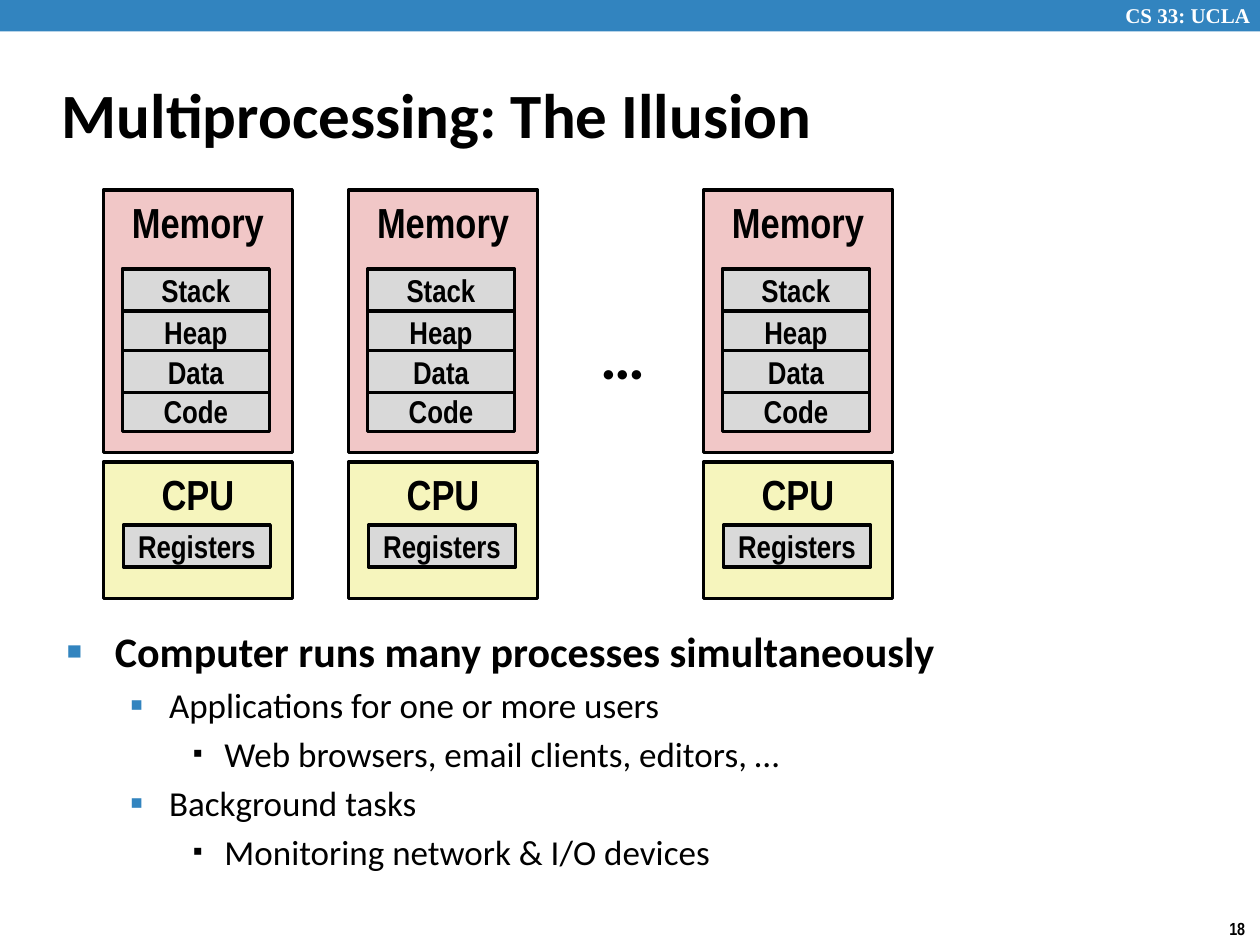
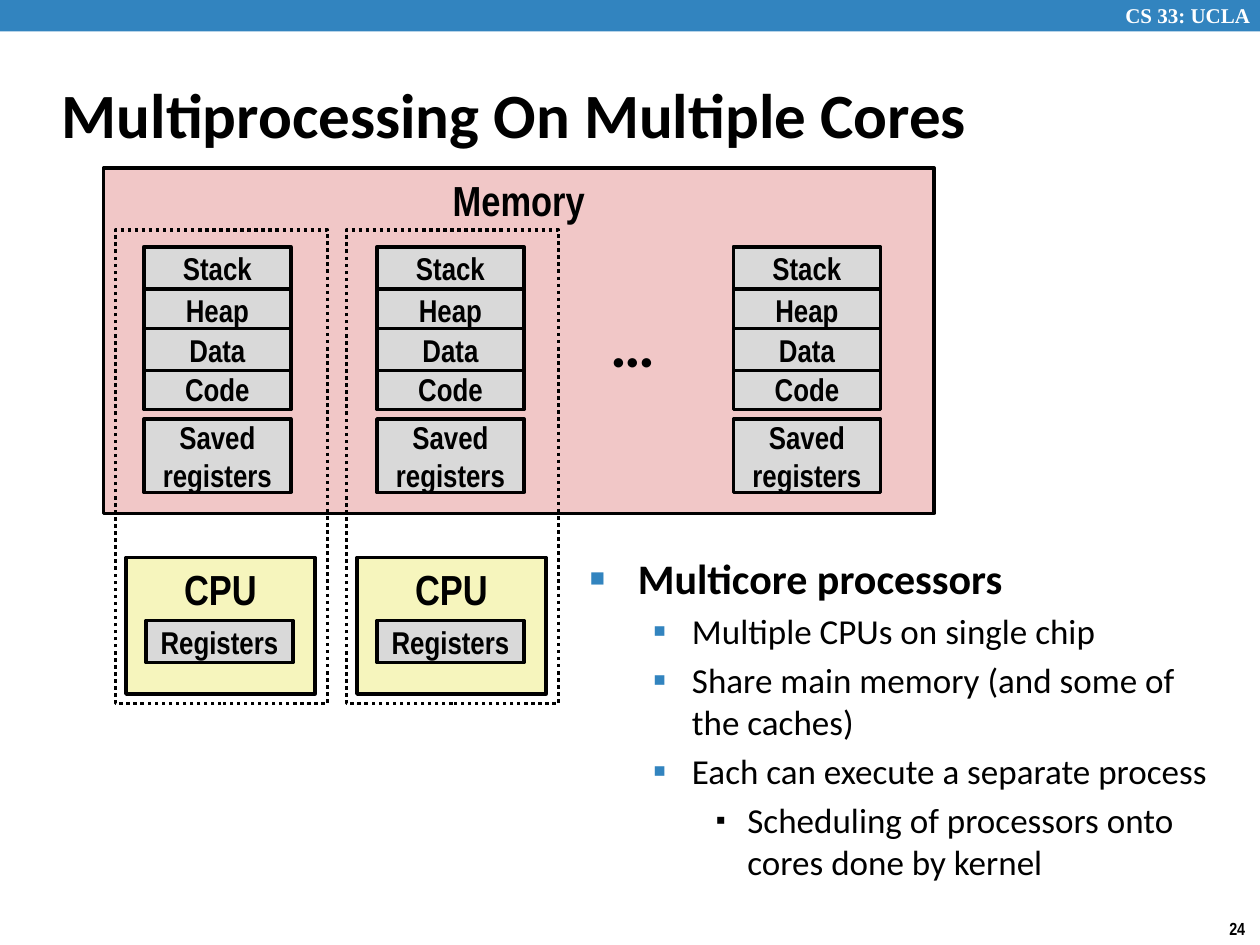
import dataclasses
import lxml.etree
import pptx
import pptx.dml.color
import pptx.enum.dml
import pptx.enum.shapes
import pptx.enum.text
import pptx.oxml.ns
import pptx.util

ALIGN = pptx.enum.text.PP_ALIGN
ANCHOR = pptx.enum.text.MSO_ANCHOR
COLUMNS, ROWS = 120, 90
SLIDE_WIDTH, SLIDE_HEIGHT = pptx.util.Inches(10), pptx.util.Inches(7.5)


@dataclasses.dataclass(frozen=True)
class Theme:
    accent: str = "3284BF"
    ink: str = "000000"
    paper: str = "FFFFFF"
    memory: str = "F1C7C7"
    cpu: str = "F6F5BD"
    segment: str = "D9D9D9"
    text_font: str = "Calibri"
    diagram_font: str = "Arial Narrow"
    course_font: str = "Times New Roman"
    title_size: int = 36
    heading_size: int = 24
    body_size: int = 20
    segment_size: int = 18
    course_size: int = 12
    number_size: int = 10
    outline: int = 2


THEME = Theme()

OUTLINE_LEVELS = (
    dict(size=THEME.heading_size, bold=True, left=0.38, hang=0.38,
         bullet="■", bullet_color=THEME.accent, bullet_share=60),
    dict(size=THEME.body_size, bold=False, left=0.81, hang=0.31,
         bullet="▪", bullet_color=THEME.accent, bullet_share=110),
    dict(size=THEME.body_size, bold=False, left=1.25, hang=0.25,
         bullet="▪", bullet_color=THEME.ink, bullet_share=80),
)

SEGMENT_ROWS = (("Stack", 0), ("Heap", 4), ("Code", 11.5), ("Data", 7.8))
SEGMENT_WIDTH, SEGMENT_HEIGHT = 14, 4
CPU_WIDTH, CPU_HEIGHT = 18, 13


def grid(column, row, width, height):
    across, down = SLIDE_WIDTH / COLUMNS, SLIDE_HEIGHT / ROWS
    return [round(v) for v in (column * across, row * down, width * across, height * down)]


def rgb(color):
    return pptx.dml.color.RGBColor.from_string(color)


def apply(target, **values):
    for name, value in values.items():
        setattr(target, name, value)


def style_font(font, name, size, color=THEME.ink, bold=True):
    apply(font, name=name, size=pptx.util.Pt(size), bold=bold)
    font.color.rgb = rgb(color)


def add_label(slide, place, words, font, size, color=THEME.ink, wrap=True, anchor=ANCHOR.TOP):
    label = slide.shapes.add_textbox(*grid(*place))
    apply(label.text_frame, word_wrap=wrap, vertical_anchor=anchor)
    paragraph = label.text_frame.paragraphs[0]
    paragraph.text = words
    style_font(paragraph.font, font, size, color)
    return label


def add_block(slide, place, fill=None, words="", size=THEME.segment_size,
              anchor=ANCHOR.MIDDLE, outlined=True):
    block = slide.shapes.add_shape(pptx.enum.shapes.MSO_SHAPE.RECTANGLE, *grid(*place))
    block.shadow.inherit = False
    if fill:
        block.fill.solid()
        block.fill.fore_color.rgb = rgb(fill)
    else:
        block.fill.background()
    if outlined:
        block.line.color.rgb = rgb(THEME.ink)
        block.line.width = pptx.util.Pt(THEME.outline)
    else:
        block.line.fill.background()
    if words:
        apply(block.text_frame, word_wrap=True, vertical_anchor=anchor)
        paragraph = block.text_frame.paragraphs[0]
        apply(paragraph, text=words, alignment=ALIGN.CENTER)
        style_font(paragraph.font, THEME.diagram_font, size)
    return block


def add_memory(slide, place):
    add_block(slide, place, THEME.memory, "Memory", THEME.heading_size, ANCHOR.TOP)


def add_segments(slide, column, row, saved=False):
    for words, offset in SEGMENT_ROWS:
        add_block(slide, (column, row + offset, SEGMENT_WIDTH, SEGMENT_HEIGHT),
                  THEME.segment, words)
    if saved:
        add_block(slide, (column, row + 16.4, SEGMENT_WIDTH, 7), THEME.segment,
                  "Saved registers")


def add_cpu(slide, column, row):
    add_block(slide, (column, row, CPU_WIDTH, CPU_HEIGHT), THEME.cpu, "CPU",
              THEME.heading_size, ANCHOR.TOP)
    add_block(slide, (column + (CPU_WIDTH - SEGMENT_WIDTH) / 2 - 0.1, row + 6,
                      SEGMENT_WIDTH, SEGMENT_HEIGHT), THEME.segment, "Registers")


def add_core_outline(slide, cpu_column, cpu_row):
    core = add_block(slide, (cpu_column - 1, cpu_row - 31.2, 20.2, 45.1))
    core.line.dash_style = pptx.enum.dml.MSO_LINE.ROUND_DOT


def add_ellipsis(slide, column, row):
    add_label(slide, (column, row, 6.7, 8.5), "…", THEME.text_font, THEME.title_size, wrap=False)


def set_indent(paragraph, left, hang):
    properties = paragraph._p.get_or_add_pPr()
    properties.set("marL", str(pptx.util.Inches(left)))
    properties.set("indent", str(-pptx.util.Inches(hang)))
    return properties


def add_bullet(properties, look):
    def child(parent, tag, **values):
        return lxml.etree.SubElement(parent, pptx.oxml.ns.qn(tag), **values)

    child(child(properties, "a:buClr"), "a:srgbClr", val=look["bullet_color"])
    child(properties, "a:buSzPct", val=str(look["bullet_share"] * 1000))
    child(properties, "a:buFont", typeface="Arial")
    child(properties, "a:buChar", char=look["bullet"])


def add_outline(slide, place, points):
    frame = slide.shapes.add_textbox(*grid(*place)).text_frame
    frame.word_wrap = True
    for index, (level, words) in enumerate(points):
        look = OUTLINE_LEVELS[level]
        paragraph = frame.add_paragraph() if index else frame.paragraphs[0]
        add_bullet(set_indent(paragraph, look["left"], look["hang"]), look)
        gap = pptx.util.Pt(0.2 * look["size"] if index else 0)
        apply(paragraph, text=words, level=level, space_before=gap)
        style_font(paragraph.font, THEME.text_font, look["size"], bold=look["bold"])


def add_page(deck, title, number):
    slide = deck.slides.add_slide(deck.slide_layouts[6])
    add_block(slide, (0, 0, COLUMNS, 3), THEME.accent, outlined=False)
    add_label(slide, (106, -0.36, 14.9, 3.6), "CS 33: UCLA", THEME.course_font,
              THEME.course_size, THEME.paper)
    add_label(slide, (115.9, 86.8, 4.1, 3.2), str(number), THEME.diagram_font,
              THEME.number_size, wrap=False)
    heading = add_label(slide, (4.7, 5.8, 111, 10), title, THEME.text_font,
                        THEME.title_size, anchor=ANCHOR.MIDDLE)
    set_indent(heading.text_frame.paragraphs[0], 0.13, 0.13)
    return slide


def build_illusion(deck):
    slide = add_page(deck, "Multiprocessing: The Illusion", 18)
    add_outline(slide, (5.2, 59, 103.7, 26), (
        (0, "Computer runs many processes simultaneously"),
        (1, "Applications for one or more users"),
        (2, "Web browsers, email clients, editors, …"),
        (1, "Background tasks"),
        (2, "Monitoring network & I/O devices"),
    ))
    for column in (9.85, 33.2, 67):
        add_cpu(slide, column, 44)
        add_memory(slide, (column, 18.1, CPU_WIDTH, 25))
        add_segments(slide, column + 1.8, 25.6)
    add_ellipsis(slide, 56, 29.6)


def build_cores(deck):
    slide = add_page(deck, "Multiprocessing On Multiple Cores", 24)
    add_outline(slide, (55, 52, 62, 35), (
        (0, "Multicore processors"),
        (1, "Multiple CPUs on single chip"),
        (1, "Share main memory (and some of the caches)"),
        (1, "Each can execute a separate process"),
        (2, "Scheduling of processors onto cores done by kernel"),
    ))
    add_memory(slide, (9.85, 16, 79.1, 32.9))
    for column in (13.7, 35.9, 69.85):
        add_segments(slide, column, 23.5, saved=True)
    for column in (12, 34):
        add_cpu(slide, column, 53.1)
        add_core_outline(slide, column, 53.1)
    add_ellipsis(slide, 57, 28.4)


def main():
    deck = pptx.Presentation()
    apply(deck, slide_width=SLIDE_WIDTH, slide_height=SLIDE_HEIGHT)
    build_illusion(deck)
    build_cores(deck)
    deck.save("out.pptx")


if __name__ == "__main__":
    main()
